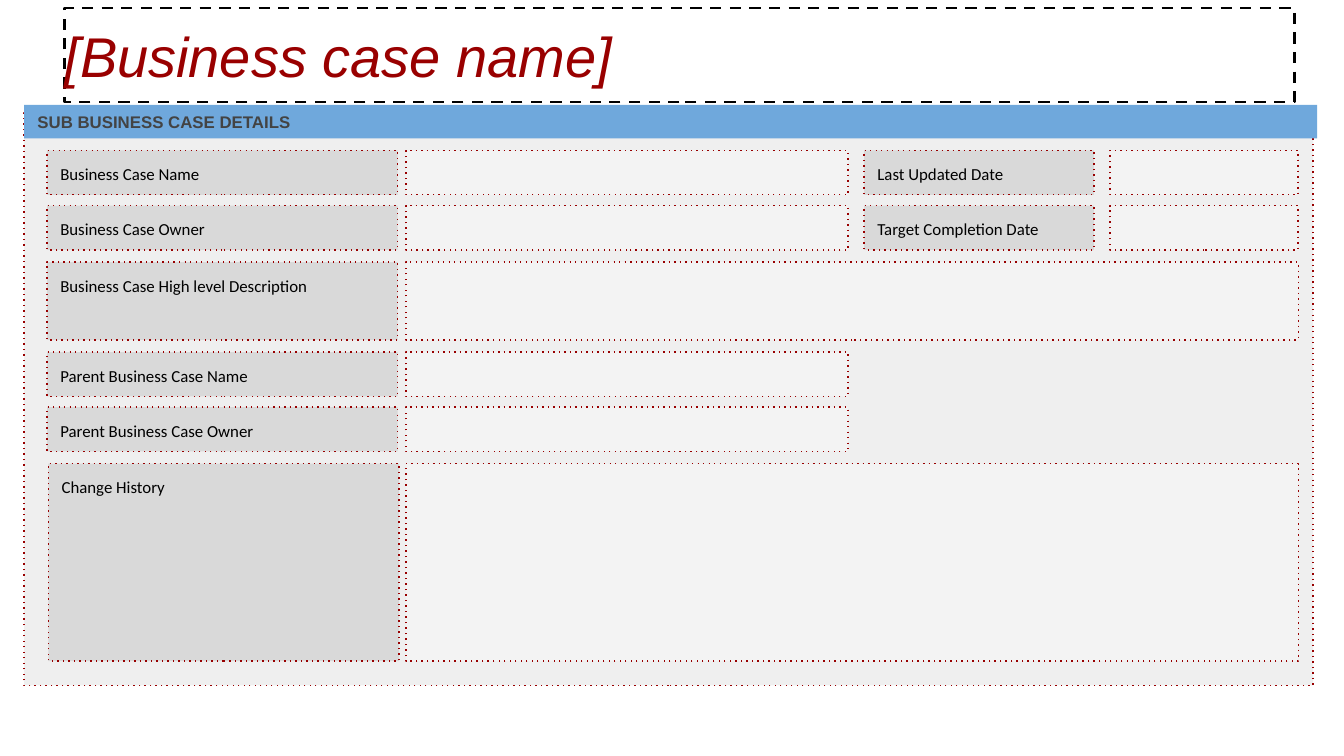
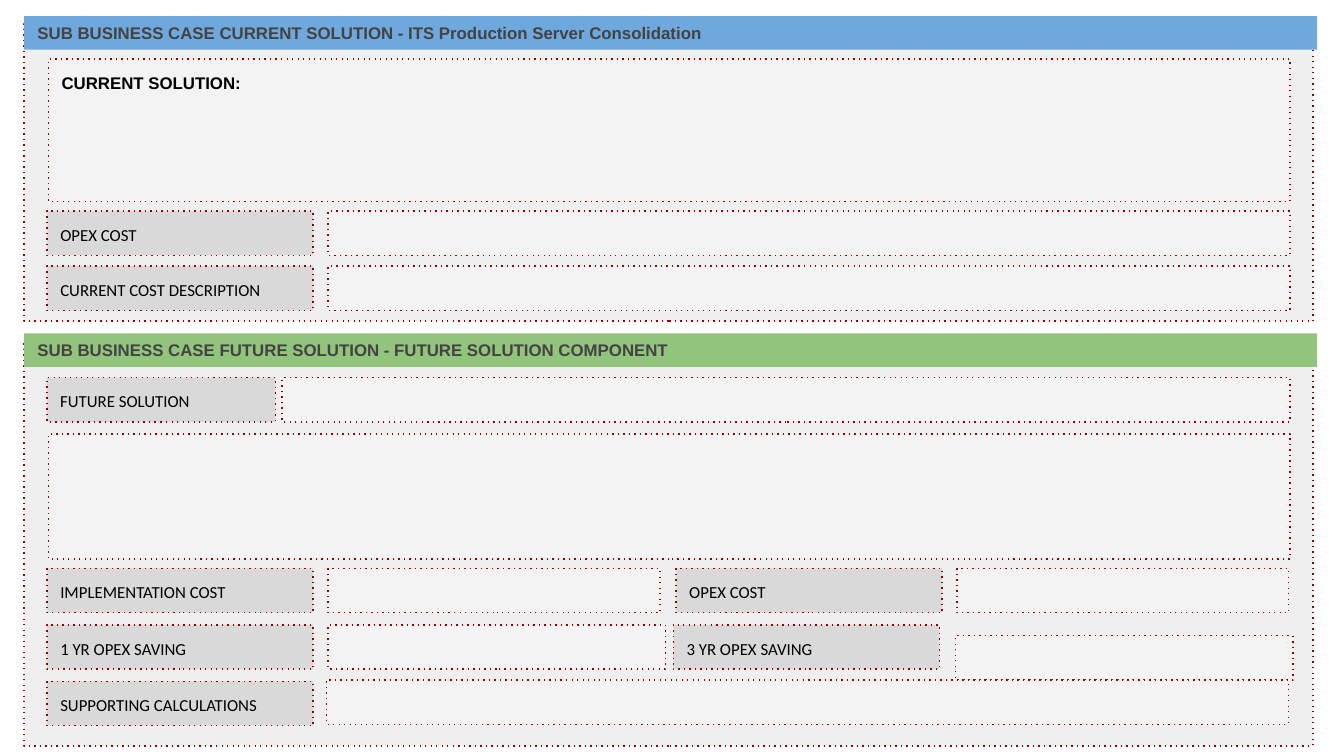
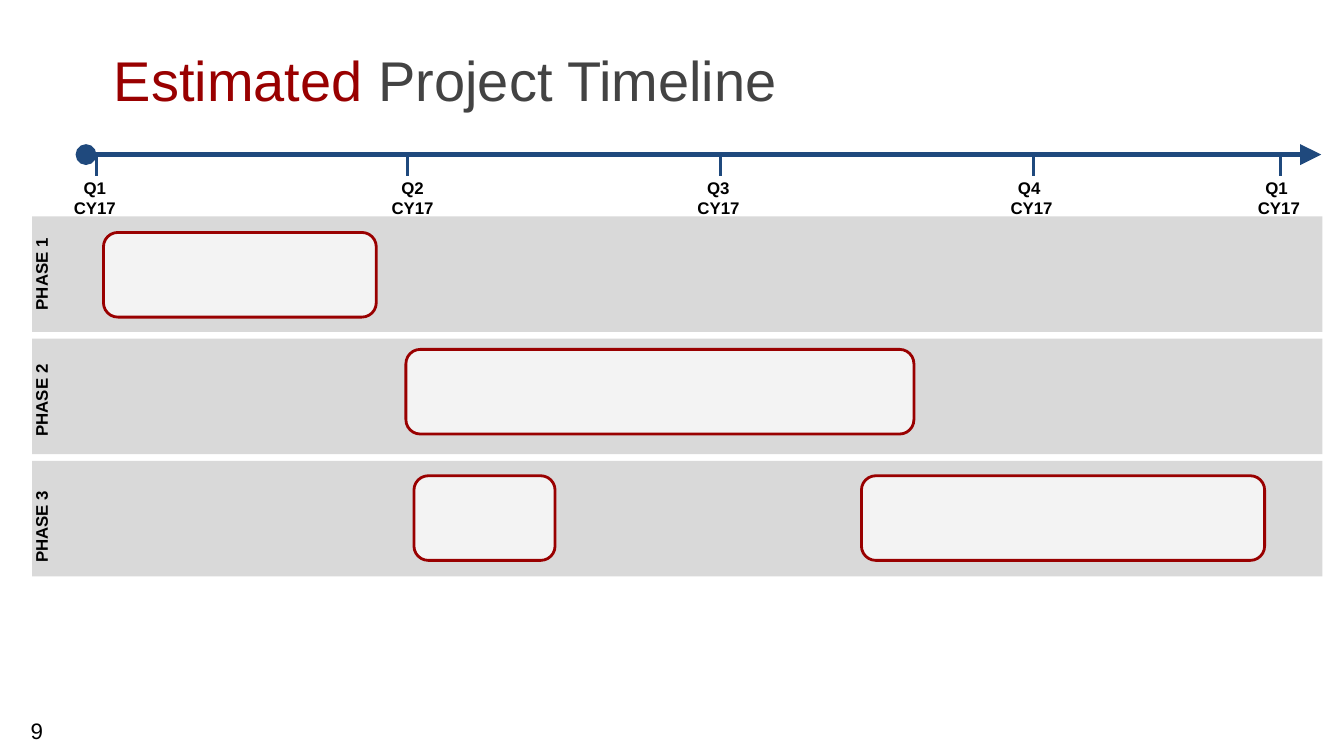
"""Build a business case form and its project timeline."""
from lxml import etree
from pptx import Presentation
from pptx import util as u
from pptx.dml.color import RGBColor
from pptx.enum import shapes, text
from pptx.oxml import ns

COLOURS = {
    "panel": "EFEFEF", "label": "D9D9D9", "field": "F3F3F3",
    "blue": "6FA8DC", "green": "93C47D", "navy": "1F497D",
    "border": "980000", "red": "990000", "grey": "434343", "black": "000000",
}
DOTTED = ("border", 0.75, "dot")
DASHED = ("black", 1.5, "dash")
SOLID = ("red", 1.5, None)

TITLE = {"name": "Arial", "size": u.Pt(30)}
ITALIC_TITLE = {**TITLE, "italic": True}
HEADING = {"name": "Arial", "size": u.Pt(9), "bold": True}
LABEL = {"name": "Calibri", "size": u.Pt(9)}
PAGE_NUMBER = {"name": "Arial", "size": u.Pt(12)}

TOP = text.MSO_ANCHOR.TOP
MIDDLE = text.MSO_ANCHOR.MIDDLE
BOTTOM = text.MSO_ANCHOR.BOTTOM
LEFT = text.PP_ALIGN.LEFT
CENTER = text.PP_ALIGN.CENTER

SLIDE_WIDTH = 10
MARGIN = 0.35
ROW_HEIGHT = 0.33
WIDE = (MARGIN, 2.61, 3.02, 6.64)
MAIN = (MARGIN, 2.61, 3.02, 3.29)
DATE = (6.43, 1.71, 8.26, 1.4)
COST = (MARGIN, 1.98, 2.44, 7.16)

DETAIL_ROWS = [
    ("Business Case Name", MAIN, 1.12, ROW_HEIGHT),
    ("Last Updated Date", DATE, 1.12, ROW_HEIGHT),
    ("Business Case Owner", MAIN, 1.53, ROW_HEIGHT),
    ("Target Completion Date", DATE, 1.53, ROW_HEIGHT),
    ("Business Case High level Description", WIDE, 1.95, 0.58),
    ("Parent Business Case Name", MAIN, 2.62, ROW_HEIGHT),
    ("Parent Business Case Owner", MAIN, 3.03, ROW_HEIGHT),
    ("Change History", (0.36, 2.61, 3.02, 6.64), 3.45, 1.47),
]
CURRENT_ROWS = [
    ("OPEX COST", COST, 1.57, ROW_HEIGHT),
    ("CURRENT COST DESCRIPTION", COST, 1.98, ROW_HEIGHT),
]
FUTURE_ROWS = [
    ("FUTURE SOLUTION", (MARGIN, 1.7, 2.1, 7.5), 2.81, ROW_HEIGHT),
    ("IMPLEMENTATION COST", (MARGIN, 1.98, 2.44, 2.47), 4.23, ROW_HEIGHT),
    ("OPEX COST", (5.03, 1.98, 7.12, 2.47), 4.23, ROW_HEIGHT),
    ("1 YR OPEX SAVING", (MARGIN, 1.98, 2.44, 2.51), 4.65, ROW_HEIGHT),
    ("3 YR OPEX SAVING", (5.01, 1.98, 7.11, 2.51), 4.65, ROW_HEIGHT, 0.08),
    ("SUPPORTING CALCULATIONS", (MARGIN, 1.98, 2.43, 7.16), 5.07, ROW_HEIGHT, -0.01),
]
QUARTERS = [
    (0.72, 0.59, "Q1 CY17"), (3.03, 0.7, "Q2\nCY17"), (5.36, 0.59, "Q3 CY17"),
    (7.69, 0.59, "Q4 \nCY17"), (9.53, 0.59, "Q1 \nCY17"),
]
PHASE_BARS = [
    (0.77, 1.73, 2.03), (3.02, 2.6, 3.78), (3.08, 3.54, 1.05), (6.41, 3.54, 3),
]


def colour(name):
    """Return the named palette colour."""
    return RGBColor.from_string(COLOURS[name])


def set_line(shape, name, width, dash=None):
    """Give a shape or connector its line colour, width and dash."""
    shape.line.color.rgb = colour(name)
    shape.line.width = u.Pt(width)
    if dash:
        add_line_part(shape, "a:prstDash", val=dash)


def add_line_part(shape, tag, **attributes):
    """Append a dash or arrowhead to the line of a shape."""
    line = shape.element.xpath(".//a:ln")[0]
    etree.SubElement(line, ns.qn(tag), **attributes)


def write(shape, paragraphs, style, anchor=TOP, align=LEFT, inset=(0.1, 0.1)):
    """Write paragraphs, each a list of (wording, colour) runs."""
    frame = shape.text_frame
    across, down = (u.Inches(value) for value in inset)
    layout = {"word_wrap": True, "vertical_anchor": anchor,
              "margin_left": across, "margin_right": across,
              "margin_top": down, "margin_bottom": down}
    for name, value in layout.items():
        setattr(frame, name, value)
    for index, runs in enumerate(paragraphs):
        paragraph = frame.add_paragraph() if index else frame.paragraphs[0]
        paragraph.alignment = align
        for wording, run_colour in runs:
            run = paragraph.add_run()
            run.text = wording
            run.font.color.rgb = colour(run_colour)
            for name, value in style.items():
                setattr(run.font, name, value)


def add_box(slide, box, fill=None, line=None, kind=shapes.MSO_SHAPE.RECTANGLE):
    """Add a preset shape with an optional fill and line."""
    shape = slide.shapes.add_shape(kind, *map(u.Inches, box))
    shape.shadow.inherit = False
    if fill:
        shape.fill.solid()
        shape.fill.fore_color.rgb = colour(fill)
    else:
        shape.fill.background()
    if line:
        set_line(shape, *line)
    else:
        shape.line.fill.background()
    return shape


def add_text(slide, box, paragraphs, style, rotation=0, **layout):
    """Add a text box."""
    shape = slide.shapes.add_textbox(*map(u.Inches, box))
    shape.rotation = rotation
    write(shape, paragraphs, style, **layout)


def add_line(slide, start, end, width):
    """Add a straight navy connector."""
    connector = slide.shapes.add_connector(
        shapes.MSO_CONNECTOR.STRAIGHT, *map(u.Inches, start + end))
    set_line(connector, "navy", width)
    etree.SubElement(connector.element.spPr, ns.qn("a:effectLst"))
    return connector


def add_section(slide, top, height, heading, band):
    """Add a dotted panel under a coloured heading band."""
    add_box(slide, (0.18, top + 0.06, 9.59, height), "panel", DOTTED)
    shape = add_box(slide, (0.18, top, 9.62, 0.25), band)
    write(shape, [[(heading, "grey")]], HEADING, MIDDLE)


def add_form_row(slide, caption, columns, top, height, field_shift=0):
    """Add a label with its empty field."""
    label_left, label_width, field_left, field_width = columns
    label = add_box(slide, (label_left, top, label_width, height), "label", DOTTED)
    write(label, [[(caption, "black")]], LABEL)
    add_box(slide, (field_left, top + field_shift, field_width, height), "field", DOTTED)


def build_details(slide):
    """Fill the business case details slide."""
    title = add_box(slide, (0.48, 0.06, 9.15, 0.7), line=DASHED)
    write(title, [[("[Business case name]", "red")]], ITALIC_TITLE, MIDDLE, inset=(0, 0))
    add_section(slide, 0.78, 4.26, "SUB BUSINESS CASE DETAILS", "blue")
    for row in DETAIL_ROWS:
        add_form_row(slide, *row)


def build_solutions(slide):
    """Fill the current and future solution slide."""
    add_section(slide, 0.12, 2.21, "SUB BUSINESS CASE CURRENT SOLUTION - "
                "ITS Production Server Consolidation", "blue")
    current = add_box(slide, (0.36, 0.44, 9.24, 1.06), "field", DOTTED)
    write(current, [[("CURRENT SOLUTION:", "black")]], HEADING)
    for row in CURRENT_ROWS:
        add_form_row(slide, *row)
    add_section(slide, 2.48, 3.01, "SUB BUSINESS CASE FUTURE SOLUTION - "
                "FUTURE SOLUTION COMPONENT", "green")
    add_box(slide, (0.36, 3.23, 9.24, 0.93), "field", DOTTED)
    for row in FUTURE_ROWS:
        add_form_row(slide, *row)


def build_timeline(slide):
    """Fill the project timeline slide."""
    add_text(slide, (0.75, 0.32, 8.5, 0.62),
             [[("Estimated", "red"), (" Project Timeline", "grey")]], TITLE, anchor=BOTTOM)
    add_text(slide, (0, 5.29, 0.55, 0.32), [[("9", "black")]], PAGE_NUMBER,
             align=CENTER, inset=(0.1, 0.05))
    for index in range(3):
        add_box(slide, (0.24, 1.61 + 0.91 * index, 9.6, 0.86), "label")
        add_text(slide, (-0.09, 1.81 + 0.94 * index, 0.95, 0.46),
                 [[(f"PHASE {index + 1}", "black")]], HEADING, 270, align=CENTER)
    axis = add_line(slide, (0.64, 1.15), (9.83, 1.15), 2.25)
    add_line_part(axis, "a:headEnd", type="oval", w="lg", len="lg")
    add_line_part(axis, "a:tailEnd", type="triangle", w="lg", len="lg")
    for tick, width, quarter in QUARTERS:
        add_line(slide, (tick, 1.17), (tick, 1.31), 1.5)
        add_text(slide, (tick - 0.31, 1.22, width, 0.39),
                 [[(part, "black")] for part in quarter.split("\n")], HEADING, align=CENTER)
    for left, top, width in PHASE_BARS:
        bar = add_box(slide, (left, top, width, 0.63), "field", SOLID,
                      shapes.MSO_SHAPE.ROUNDED_RECTANGLE)
        bar.adjustments[0] = 0.17


def main():
    """Build and save the presentation."""
    presentation = Presentation()
    presentation.slide_width = u.Inches(SLIDE_WIDTH)
    presentation.slide_height = u.Inches(SLIDE_WIDTH * 9 / 16)
    for build in (build_details, build_solutions, build_timeline):
        build(presentation.slides.add_slide(presentation.slide_layouts[6]))
    presentation.save("out.pptx")


if __name__ == "__main__":
    main()
